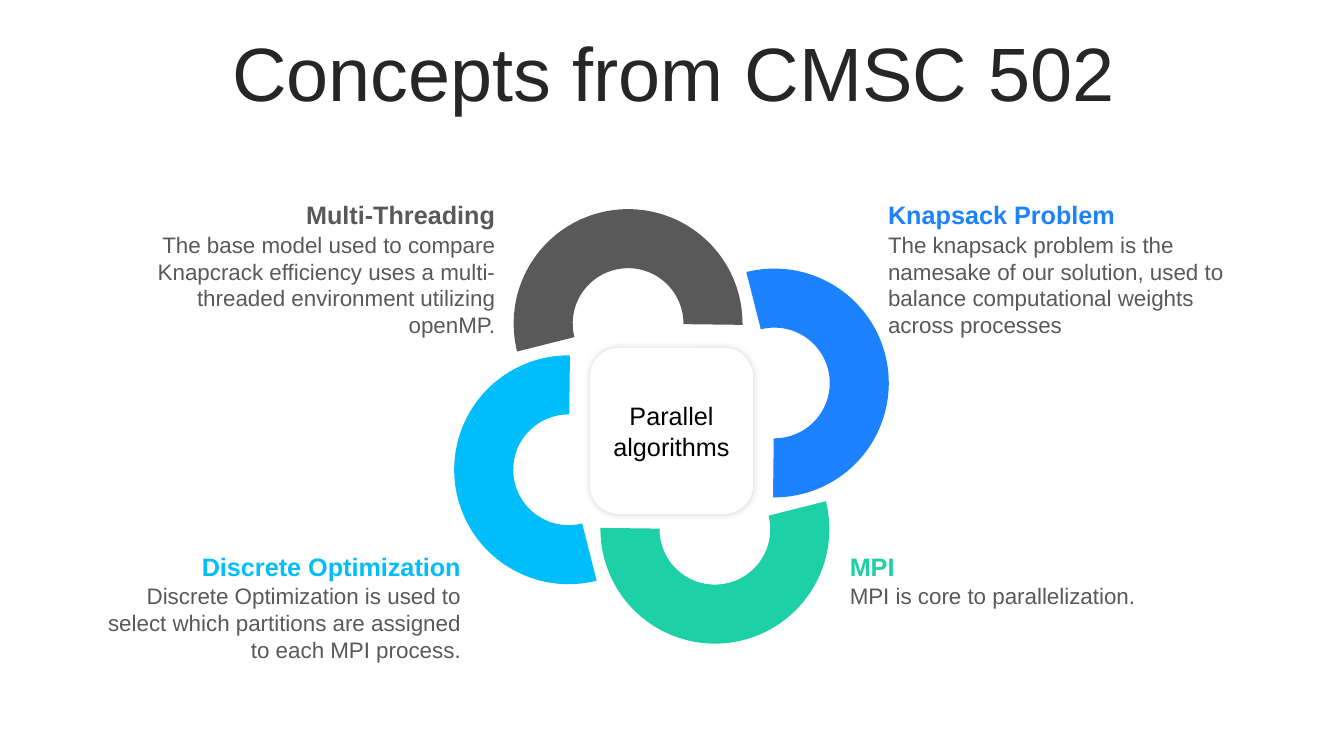
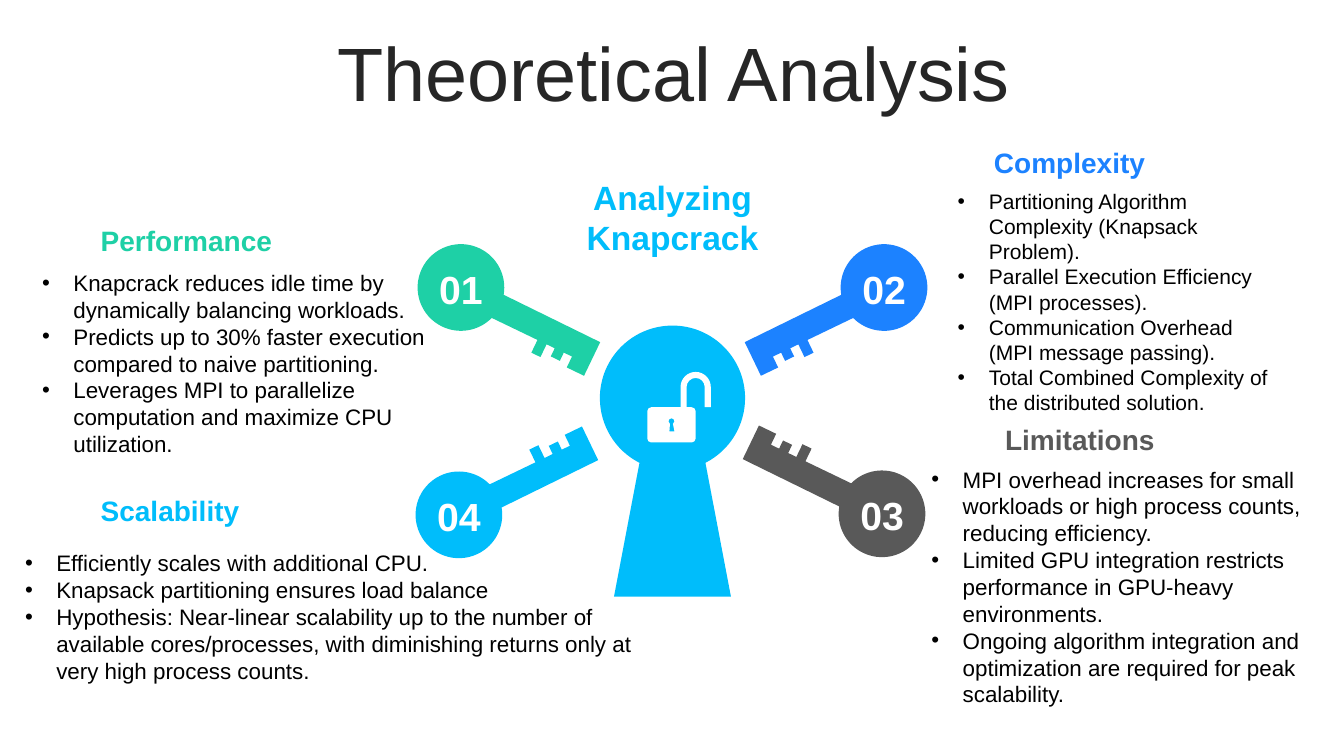
from math import cos, radians, sin, tan

from lxml.etree import SubElement
from pptx import Presentation
from pptx.dml.color import RGBColor
from pptx.enum.shapes import MSO_SHAPE
from pptx.enum.text import MSO_ANCHOR, MSO_AUTO_SIZE, PP_ALIGN
from pptx.oxml.ns import qn
from pptx.util import Inches, Pt

# Shared look
FONT = "Arial"
INK = RGBColor(0x26, 0x26, 0x26)
BLACK = RGBColor(0, 0, 0)
WHITE = RGBColor(0xFF, 0xFF, 0xFF)
GRAY = RGBColor(0x59, 0x59, 0x59)
BLUE = RGBColor(0x1C, 0x82, 0xFF)
GREEN = RGBColor(0x1E, 0xD0, 0xA6)
CYAN = RGBColor(0x00, 0xBD, 0xFB)
LEFT, MID, RIGHT = PP_ALIGN.LEFT, PP_ALIGN.CENTER, PP_ALIGN.RIGHT
TOP, HALF = MSO_ANCHOR.TOP, MSO_ANCHOR.MIDDLE
TITLE = (0.35, 0.37, 12.66, 0.79)

# Slide 1: heading, text, colour, box left and top, text height, alignment
TOPICS = [
    ("Knapsack Problem",
     "The knapsack problem is the namesake of our solution, used to "
     "balance computational weights across processes",
     BLUE, 8.71, 1.93, 1.18, LEFT),
    ("MPI", "MPI is core to parallelization.",
     GREEN, 8.33, 5.42, 0.37, LEFT),
    ("Discrete Optimization",
     "Discrete Optimization is used to select which partitions are "
     "assigned to each MPI process.",
     CYAN, 0.93, 5.42, 0.91, RIGHT),
    ("Multi-Threading",
     "The base model used to compare Knapcrack efficiency uses a multi- "
     "threaded environment utilizing openMP.",
     GRAY, 1.27, 1.93, 1.18, RIGHT),
]

# Slide 2: number, colour, box left and top, mirror signs
KEYS = [
    ("01", GREEN, 4.09, 2.65, -1, 1),
    ("02", BLUE, 7.35, 2.65, 1, 1),
    ("03", GRAY, 7.33, 4.44, 1, -1),
    ("04", CYAN, 4.07, 4.45, -1, -1),
]
# Key shaft and teeth lying flat, measured from the ring centre
SHAFT = [
    (-1.48, -0.11), (-1.48, 0.26), (-1.29, 0.26), (-1.29, 0.14),
    (-1.2, 0.14), (-1.2, 0.23), (-1.1, 0.23), (-1.1, 0.14),
    (-1.01, 0.14), (-1.01, 0.28), (-0.91, 0.28), (-0.91, 0.14),
]
# Heading, colour, its box, list box, list size, list items
POINTS = [
    ("Performance", GREEN, (0.9, 2.16, 3.3, 0.44),
     (0.32, 2.62, 4.33, 1.99), 16,
     ["Knapcrack reduces idle time by dynamically balancing workloads.",
      "Predicts up to 30% faster execution compared to naive partitioning.",
      "Leverages MPI to parallelize computation and maximize CPU "
      "utilization."]),
    ("Complexity", BLUE, (9.76, 1.39, 3.25, 0.44),
     (9.4, 1.82, 3.4, 2.37), 15,
     ["Partitioning Algorithm Complexity (Knapsack Problem).",
      "Parallel Execution Efficiency (MPI processes).",
      "Communication Overhead (MPI message passing).",
      "Total Combined Complexity of the distributed solution."]),
    ("Limitations", GRAY, (9.87, 4.14, 3.25, 0.44),
     (9.14, 4.57, 4.15, 2.52), 16,
     ["MPI overhead increases for small workloads or high process counts, "
      "reducing efficiency.",
      "Limited GPU integration restricts performance in GPU-heavy "
      "environments.",
      "Ongoing algorithm integration and optimization are required for "
      "peak scalability."]),
    ("Scalability", CYAN, (0.9, 4.84, 3.3, 0.44),
     (0.15, 5.4, 6.38, 1.45), 16,
     ["Efficiently scales with additional CPU.",
      "Knapsack partitioning ensures load balance",
      "Hypothesis: Near-linear scalability up to the number of available "
      "cores/processes, with diminishing returns only at very high process "
      "counts."]),
]


def style(frame, lines, size, color, bold=False, align=LEFT, anchor=TOP):
    """Fill a text frame, one paragraph for each line."""
    form = {"word_wrap": True, "auto_size": MSO_AUTO_SIZE.NONE,
            "vertical_anchor": anchor}
    for name, val in form.items():
        setattr(frame, name, val)
    face = {"name": FONT, "size": Pt(size), "bold": bold}
    for num, line in enumerate(lines):
        para = frame.add_paragraph() if num else frame.paragraphs[0]
        para.alignment = align
        run = para.add_run()
        run.text = line
        for name, val in face.items():
            setattr(run.font, name, val)
        run.font.color.rgb = color


def label(slide, box, lines, size, color, **form):
    shape = slide.shapes.add_textbox(*map(Inches, box))
    style(shape.text_frame, lines, size, color, **form)
    return shape.text_frame


def paint(shape, color):
    shape.shadow.inherit = False
    shape.fill.solid()
    shape.fill.fore_color.rgb = color
    shape.line.fill.background()


def arc(x, y, size, start, end):
    """Arc as curve points, cut at each quarter; clockwise from the right."""
    low, high = sorted((start, end))
    cuts = [a for a in range(-360, 721, 90) if low < a < high]
    cuts = [low, *cuts, high]
    if start > end:
        cuts.reverse()

    def spot(turn, pull):
        return (x + size * (cos(turn) - pull * sin(turn)),
                y + size * (sin(turn) + pull * cos(turn)))

    dots = [spot(radians(start), 0)]
    for one, two in zip(cuts, cuts[1:]):
        one, two = radians(one), radians(two)
        pull = 4 / 3 * tan((two - one) / 4)
        for turn, part in ((one, pull), (two, -pull), (two, 0)):
            dots.append((*spot(turn, part), True))
    return dots


def trace(slide, color, *loops):
    """Draw closed outlines as one shape; marked dots form curves."""
    pen = None
    for loop in loops:
        dots = [(Inches(dot[0]), Inches(dot[1])) for dot in loop]
        if pen:
            pen.move_to(*dots[0])
        else:
            pen = slide.shapes.build_freeform(*dots[0])
        pen.add_line_segments(dots[1:], close=True)
    shape = pen.convert_to_shape()
    paint(shape, color)
    # Join each three marked segments into one curve
    track = shape.element.find(".//" + qn("a:path"))
    nodes = [node for node in track if node.tag != qn("a:close")]
    flags = [len(dot) > 2 for loop in loops for dot in loop]
    bends = [node for node, flag in zip(nodes, flags) if flag]
    for head, *rest in zip(bends[::3], bends[1::3], bends[2::3]):
        head.tag = qn("a:cubicBezTo")
        for node in rest:
            head.append(node[0])
            track.remove(node)
    return shape


def start(deck, text):
    """Add a slide with the shared title."""
    slide = deck.slides.add_slide(deck.slide_layouts[5])
    title = slide.shapes.title
    title.left, title.top, title.width, title.height = map(Inches, TITLE)
    style(title.text_frame, [text], 54, INK, align=MID, anchor=HALF)
    title.text_frame.paragraphs[0].line_spacing = 0.9
    return slide


def glow(shape):
    """Give a shape a faint soft shadow on all sides."""
    fx = shape.element.spPr.find(qn("a:effectLst"))
    soft = SubElement(fx, qn("a:outerShdw"), blurRad=str(Pt(5)), dist="0",
                      dir="0", algn="ctr", rotWithShape="0")
    tint = SubElement(soft, qn("a:srgbClr"), val="000000")
    SubElement(tint, qn("a:alpha"), val="14000")


def wheel(slide, x, y, colors):
    """Four arcs, each a quarter turn on, round a card centred at x, y."""
    size, dx, dy = 2.27, 1.02, -0.43
    for num, color in enumerate(colors):
        ring = slide.shapes.add_shape(
            MSO_SHAPE.BLOCK_ARC, Inches(x + dx - size / 2),
            Inches(y + dy - size / 2), Inches(size), Inches(size))
        for pos, val in enumerate((113.3, 14.19, 0.258)):
            ring.adjustments[pos] = val
        ring.rotation = 67 + 90 * num
        paint(ring, color)
        dx, dy = -dy, dx
    card = slide.shapes.add_shape(
        MSO_SHAPE.ROUNDED_RECTANGLE, Inches(x - 0.81), Inches(y - 0.78),
        Inches(1.62), Inches(1.65))
    card.adjustments[0] = 0.18
    paint(card, WHITE)
    glow(card)
    style(card.text_frame, ["Parallel algorithms"], 18, BLACK,
          align=MID, anchor=HALF)


def topic(slide, head, text, color, x, y, high, align):
    label(slide, (x, y + 0.31, 3.74, high), [text], 16, GRAY, align=align)
    label(slide, (x, y, 3.74, 0.4), [head], 18, color, bold=True, align=align)


def hole(slide, x, y):
    """Large keyhole, centred on its round part."""
    base = [(x + 0.58, y + 1.97), (x - 0.58, y + 1.97)]
    trace(slide, CYAN, arc(x, y, 0.72, 117, 423) + base)


def key(slide, num, color, x, y, sx, sy):
    """Numbered key in a box of 1.91 by 0.87, mirrored by sx and sy."""
    cx, cy, reach, tilt = x + 0.95, y + 0.43, 0.52, 25.7
    form = SHAFT + arc(0, 0, 0.43, 161, -164)
    shape = trace(slide, color, [
        (cx + sx * (reach + px), cy + sy * py, *mark)
        for px, py, *mark in form])
    shape.rotation = -tilt * sx * sy
    rx = cx + sx * reach * cos(radians(tilt))
    ry = cy - sy * reach * sin(radians(tilt))
    label(slide, (rx - 0.37, ry - 0.27, 0.74, 0.57), [num], 28, WHITE,
          bold=True, align=MID, anchor=HALF)


def lock(slide, x, y):
    """Open padlock in a box of 0.63 by 0.7."""
    wide, high, top, bend = 0.48, 0.7, 0.35, 0.04
    spots = [(wide - bend, top + bend), (wide - bend, high - bend),
             (bend, high - bend), (bend, top + bend)]
    body = [dot for n, (px, py) in enumerate(spots)
            for dot in arc(x + px, y + py, bend, 90 * n - 90, 90 * n)]
    slot = arc(x + 0.24, y + 0.49, 0.03, 420, 120)
    slot += [(x + 0.22, y + 0.59), (x + 0.27, y + 0.59)]
    cx, cy, foot = x + 0.48, y + 0.15, y + top
    bow = [(cx - 0.15, foot)] + arc(cx, cy, 0.15, 180, 360)
    bow += [(cx + 0.15, foot), (cx + 0.09, foot)]
    bow += arc(cx, cy, 0.09, 360, 180) + [(cx - 0.09, foot)]
    trace(slide, WHITE, slot, bow, body)


def points(slide, head, color, spot, box, size, items):
    """Heading with its bulleted list."""
    label(slide, spot, [head], 20, color, bold=True, anchor=HALF)
    frame = label(slide, box, items, size, BLACK)
    for para in frame.paragraphs:
        prop = para._p.get_or_add_pPr()
        prop.set("marL", str(Inches(0.31)))
        prop.set("indent", str(-Inches(0.31)))
        SubElement(prop, qn("a:buFont"), typeface=FONT)
        SubElement(prop, qn("a:buChar"), char="•")


def concepts(deck):
    slide = start(deck, "Concepts from CMSC 502")
    wheel(slide, 6.66, 4.23, [item[2] for item in TOPICS])
    for item in TOPICS:
        topic(slide, *item)


def theory(deck):
    slide = start(deck, "Theoretical Analysis")
    hole(slide, 6.67, 3.95)
    for item in KEYS:
        key(slide, *item)
    lock(slide, 6.42, 3.69)
    label(slide, (5.19, 1.7, 2.96, 0.91), ["Analyzing Knapcrack"], 24, CYAN,
          bold=True, align=MID, anchor=HALF)
    for item in POINTS:
        points(slide, *item)


def main():
    deck = Presentation()
    deck.slide_width, deck.slide_height = Inches(13.33), Inches(7.5)
    concepts(deck)
    theory(deck)
    deck.save("out.pptx")


if __name__ == "__main__":
    main()
